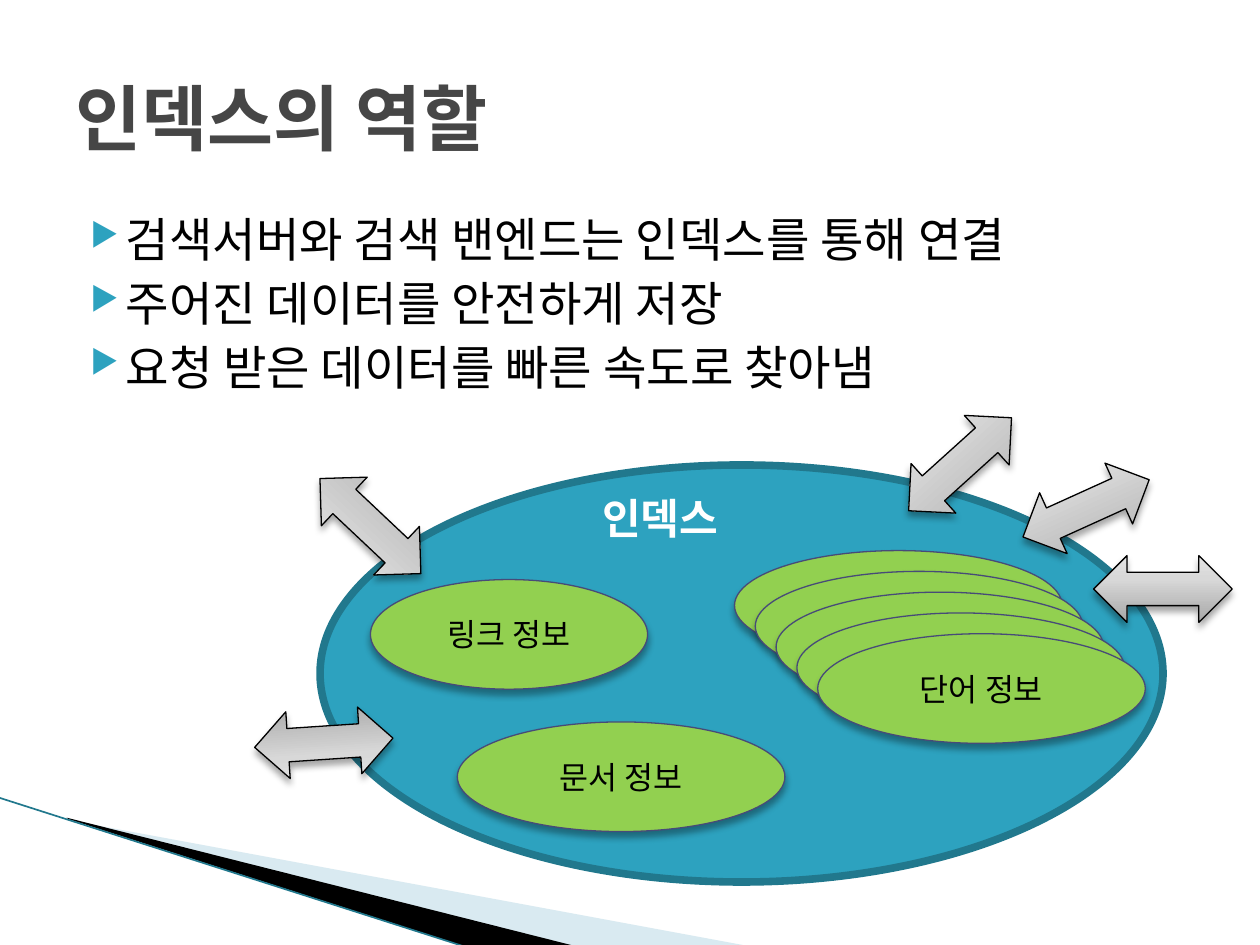
from dataclasses import dataclass

from lxml.etree import SubElement
from pptx import Presentation
from pptx.dml.color import RGBColor
from pptx.enum.shapes import MSO_CONNECTOR, MSO_SHAPE
from pptx.enum.text import MSO_ANCHOR, PP_ALIGN
from pptx.oxml.ns import qn
from pptx.util import Inches, Pt


@dataclass(frozen=True)
class Theme:
    font: str = "Noto Sans Mono"
    title: str = "464646"
    text: str = "000000"
    white: str = "FFFFFF"
    teal: str = "2DA2BF"
    teal_dark: str = "21788D"
    pale: str = "A0CBDC"
    green: str = "92D050"
    green_line: str = "474B78"
    arrow_stops: tuple = ((0, "A7A7A7"), (65, "D8D8D8"), (100, "E4E4E4"))
    title_size: int = 41
    body_size: int = 27
    index_size: int = 24
    label_size: int = 18


THEME = Theme()
TITLE = "인덱스의 역할"
BULLETS = [
    "검색서버와 검색 밴엔드는 인덱스를 통해 연결",
    "주어진 데이터를 안전하게 저장",
    "요청 받은 데이터를 빠른 속도로 찾아냄",
]
INDEX_LABEL = "인덱스"
WEDGES = [
    ([(0.55, 6.51), (5.95, 7.51), (4.56, 7.51), (0.55, 6.5)], THEME.pale, 40),
    ([(0.53, 6.49), (4.57, 7.51), (3.72, 7.52), (0.54, 6.5)], THEME.text, 100),
]
STACK_COUNT, STACK_STEP = 5, 0.165
STACK = [
    ("단어 정보" if i == STACK_COUNT - 1 else "", 5.83 + i * STACK_STEP, 4.37 + i * STACK_STEP, 2.6)
    for i in range(STACK_COUNT)
]
STORES = STACK + [("링크 정보", 2.94, 4.6, 2.2), ("문서 정보", 3.63, 5.73, 2.6)]
STORE_HEIGHT = 0.87
ARROWS = [
    (7.07, 3.42, 317.9),
    (8.07, 3.77, 335.6),
    (8.68, 4.41, 0),
    (2.39, 3.91, 223.3),
    (2.02, 5.63, 176.2),
]
ARROW_SIZE = (1.1, 0.53)


def add_child(parent, tag, **attributes):
    """Append an XML child with the given attributes."""
    child = SubElement(parent, qn(tag))
    for name, value in attributes.items():
        child.set(name, str(value))
    return child


def set_font(paragraph, size, color, bold=False):
    """Set the font of a whole paragraph."""
    font = paragraph.font
    font.name, font.size, font.bold = THEME.font, Pt(size), bold
    font.color.rgb = RGBColor.from_string(color)


def paint(shape, fill=None, line=None, width=0.75):
    """Set a flat fill and outline without a shadow."""
    shape.shadow.inherit = False
    if fill:
        shape.fill.solid()
        shape.fill.fore_color.rgb = RGBColor.from_string(fill)
    if line:
        shape.line.color.rgb = RGBColor.from_string(line)
        shape.line.width = Pt(width)
    else:
        shape.line.fill.background()


def drop_shadow(shape):
    """Give a painted shape a soft shadow below it."""
    effects = shape._element.spPr.find(qn("a:effectLst"))
    shadow = add_child(effects, "a:outerShdw", blurRad=Pt(4), dist=Pt(3), dir=5400000, rotWithShape=0)
    add_child(add_child(shadow, "a:srgbClr", val="000000"), "a:alpha", val=35000)


def add_preset(page, kind, left, top, width, height):
    """Add a preset shape measured in inches."""
    return page.shapes.add_shape(kind, Inches(left), Inches(top), Inches(width), Inches(height))


def add_text(page, left, top, width, height, lines, size, color, bold=False, wrap=True):
    """Add a text box and return its paragraphs."""
    box = page.shapes.add_textbox(Inches(left), Inches(top), Inches(width), Inches(height))
    frame = box.text_frame
    frame.word_wrap = wrap
    frame.text = "\n".join(lines)
    for para in frame.paragraphs:
        set_font(para, size, color, bold)
    return frame


def add_bullet(para):
    """Give a paragraph the teal triangle bullet."""
    properties = para._p.get_or_add_pPr()
    properties.set("marL", str(Inches(0.4)))
    properties.set("indent", str(Inches(-0.28)))
    marks = [
        add_child(properties, "a:buClr"),
        add_child(properties, "a:buSzPct", val=68000),
        add_child(properties, "a:buChar", char="▶"),
    ]
    add_child(marks[0], "a:srgbClr", val=THEME.teal)
    properties.append(properties.find(qn("a:defRPr")))


def add_corner(page):
    """Draw the wedges and the line in the lower left corner."""
    for points, color, opacity in WEDGES:
        corners = [(Inches(x), Inches(y)) for x, y in points]
        builder = page.shapes.build_freeform(*corners[0])
        builder.add_line_segments(corners[1:], close=True)
        wedge = builder.convert_to_shape()
        paint(wedge, color)
        if opacity < 100:
            tint = wedge._element.spPr.find(qn("a:solidFill"))[0]
            add_child(tint, "a:alpha", val=opacity * 1000)
    edge = page.shapes.add_connector(
        MSO_CONNECTOR.STRAIGHT, Inches(-0.01), Inches(6.33), Inches(3.71), Inches(7.52)
    )
    edge.line.color.rgb = RGBColor.from_string(THEME.teal_dark)
    edge.line.width = Pt(0.95)
    add_child(edge._element.spPr, "a:effectLst")


def add_store(page, label, left, top, width):
    """Draw one green store ellipse with its label."""
    store = add_preset(page, MSO_SHAPE.OVAL, left, top, width, STORE_HEIGHT)
    paint(store, THEME.green, THEME.green_line)
    drop_shadow(store)
    if label:
        store.text_frame.text = label
        store.text_frame.vertical_anchor = MSO_ANCHOR.MIDDLE
        para = store.text_frame.paragraphs[0]
        para.alignment = PP_ALIGN.CENTER
        set_font(para, THEME.label_size, THEME.text)


def add_arrow(page, left, top, rotation):
    """Draw one grey double arrow."""
    arrow = add_preset(page, MSO_SHAPE.LEFT_RIGHT_ARROW, left, top, *ARROW_SIZE)
    arrow.rotation = rotation
    paint(arrow, line=THEME.text)
    arrow.fill.gradient()
    arrow.fill.gradient_angle = 90
    stops = arrow._element.spPr.find(qn("a:gradFill")).find(qn("a:gsLst"))
    for stop in list(stops):
        stops.remove(stop)
    for position, color in THEME.arrow_stops:
        add_child(add_child(stops, "a:gs", pos=position * 1000), "a:srgbClr", val=color)
    drop_shadow(arrow)


def main():
    """Build the slide and save it."""
    deck = Presentation()
    deck.slide_width, deck.slide_height = Inches(10), Inches(7.5)
    page = deck.slides.add_slide(deck.slide_layouts[6])
    add_corner(page)
    body = add_text(page, 0.5, 1.62, 9, 4.95, BULLETS, THEME.body_size, THEME.text)
    for number, para in enumerate(body.paragraphs):
        para.space_before = Pt(4 if number else 0)
        add_bullet(para)
    title = add_text(page, 0.5, 0.3, 9, 1.25, [TITLE], THEME.title_size, THEME.title, bold=True)
    title.vertical_anchor = MSO_ANCHOR.MIDDLE
    index = add_preset(page, MSO_SHAPE.OVAL, 2.54, 3.69, 6.69, 3.31)
    paint(index, THEME.teal, THEME.teal_dark, 4.33)
    for store in STORES:
        add_store(page, *store)
    add_text(page, 4.68, 3.86, 1.21, 0.5, [INDEX_LABEL], THEME.index_size, THEME.white, bold=True, wrap=False)
    for arrow in ARROWS:
        add_arrow(page, *arrow)
    deck.save("out.pptx")


if __name__ == "__main__":
    main()
